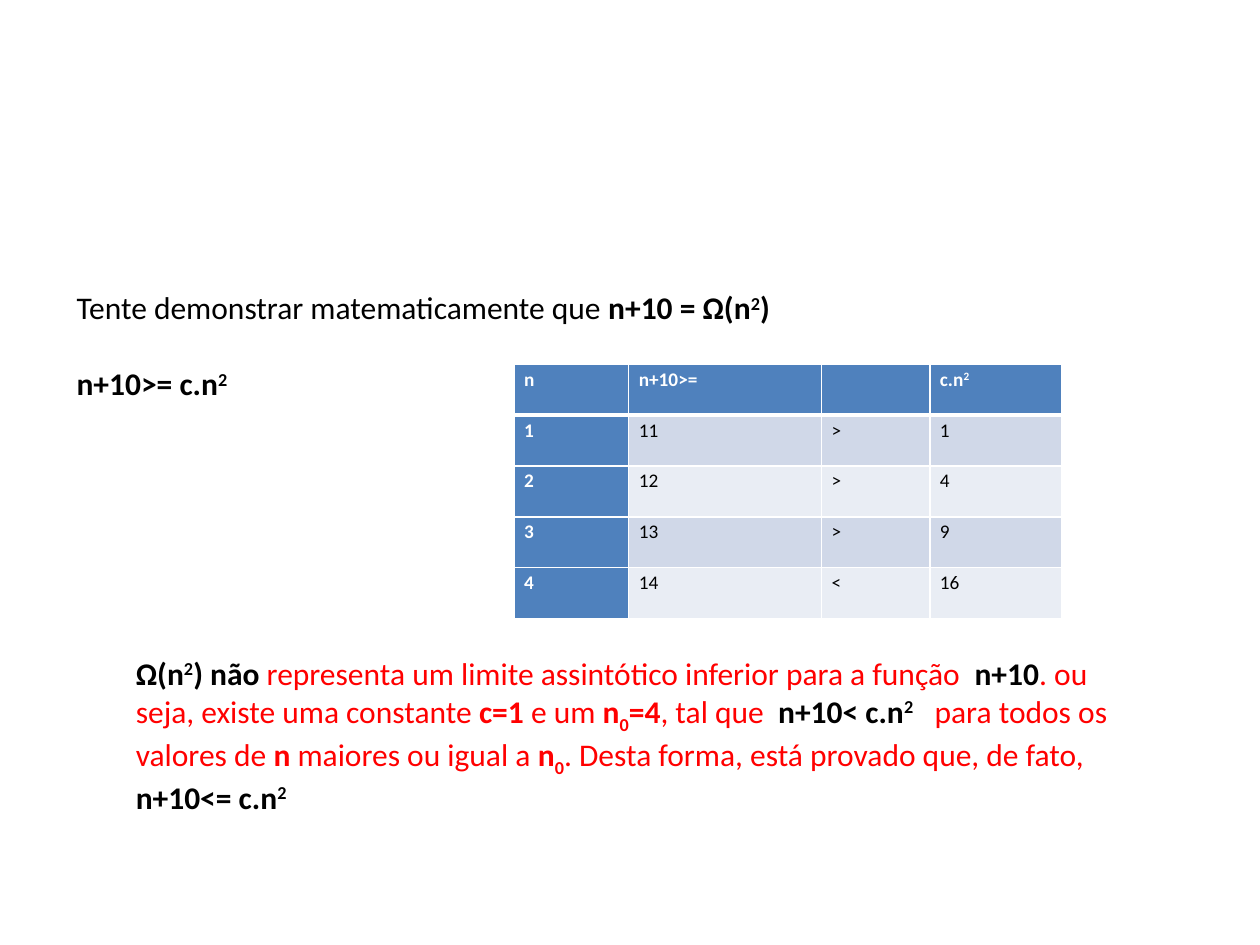
import pptx
import pptx.util
import pptx.dml.color
import pptx.oxml
import pptx.oxml.ns
from pptx.util import Inches

RGBColor = pptx.dml.color.RGBColor
BLACK = RGBColor(0, 0, 0)
WHITE = RGBColor(255, 255, 255)
RED = RGBColor(255, 0, 0)
BLUE = RGBColor(0x4F, 0x81, 0xBD)
BANDS = RGBColor(0xD0, 0xD8, 0xE8), RGBColor(0xE9, 0xED, 0xF4)

SUP, SUB = 30, -25
WIDTHS = 0.91, 1.53, 0.86, 1.05
HEIGHT = 2.02 / 5
SIGNS = "> ", "> ", "> ", "< "


def write(para, text, size=18, color=BLACK, bold=False, base=0):
    run = para.add_run()
    run.text = text
    font = run.font
    font.name = "Calibri"
    font.size = pptx.util.Pt(size)
    font.color.rgb = color
    font.bold = bold
    if base:
        run._r.get_or_add_rPr().set("baseline", str(base * 1000))


def square(para, text, **form):
    write(para, text, **form)
    write(para, "2", base=SUP, **form)


def add_box(slide, left, top, width, height):
    frame = slide.shapes.add_textbox(
        Inches(left), Inches(top), Inches(width), Inches(height)).text_frame
    frame.word_wrap = True
    return frame


def add_edges(cell, head):
    props = cell._tc.get_or_add_tcPr()
    for side in "LRTB":
        width = 3 if (head and side == "B") else 1
        props.append(pptx.oxml.parse_xml(
            f'<a:ln{side} {pptx.oxml.ns.nsdecls("a")} w="{pptx.util.Pt(width)}">'
            f'<a:solidFill><a:srgbClr val="{WHITE}"/></a:solidFill></a:ln{side}>'))


def fill_cell(cell, text, row, col):
    strong = row == 0 or col == 0
    add_edges(cell, row == 0)
    cell.fill.solid()
    cell.fill.fore_color.rgb = BLUE if strong else BANDS[(row - 1) % 2]
    cell.margin_left = cell.margin_right = Inches(0.08)
    cell.margin_top = cell.margin_bottom = 0
    para = cell.text_frame.paragraphs[0]
    para.line_spacing = 1.15
    put = square if text == "c.n" else write
    if text:
        put(para, text, size=11, color=WHITE if strong else BLACK, bold=strong)


def add_grid(slide):
    rows = [("n", "n+10>=", "", "c.n")]
    rows += [(str(n), str(n + 10), sign, str(n * n))
             for n, sign in enumerate(SIGNS, 1)]
    table = slide.shapes.add_table(
        len(rows), len(WIDTHS), Inches(4.08), Inches(2.89),
        Inches(sum(WIDTHS)), Inches(HEIGHT * len(rows))).table
    table.first_col = True
    for col, width in enumerate(WIDTHS):
        table.columns[col].width = Inches(width)
    for r, row in enumerate(rows):
        table.rows[r].height = Inches(HEIGHT)
        for c, text in enumerate(row):
            fill_cell(table.cell(r, c), text, r, c)


def add_task(slide):
    frame = add_box(slide, 0.51, 1.94, 7.09, 1.31)
    first, second = frame.paragraphs[0], frame.add_paragraph()
    first.line_spacing = second.line_spacing = 2.0
    write(first, "Tente demonstrar matematicamente que ")
    square(first, "n+10 = Ω(n", bold=True)
    write(first, ")", bold=True)
    square(second, "n+10>= c.n", bold=True)


def add_proof(slide):
    frame = add_box(slide, 0.98, 5.14, 8.27, 1.62)
    frame.margin_right = Inches(0.15)
    para = frame.paragraphs[0]
    dark = {"bold": True}
    red = {"color": RED}
    key = {"color": RED, "bold": True}
    low = {"color": RED, "bold": True, "base": SUB}
    sup = {"bold": True, "base": SUP}
    for text, form in (
        ("Ω(n", dark), ("2", sup), (") não ", dark),
        ("representa um limite assintótico inferior para a função  ", red),
        ("n+10", dark), (". ou seja, existe uma constante ", red),
        ("c=1", key), (" e um ", red), ("n", key), ("0", low), ("=4", key),
        (", tal que  ", red), ("n+10< c.n", dark), ("2", sup),
        ("   para todos os valores de ", red), ("n", key),
        (" maiores ou igual a ", red), ("n", key), ("0", low),
        (". Desta forma, está provado que, de fato,  ", red),
        ("n+10<= c.n", dark), ("2", sup),
    ):
        write(para, text, **form)


def main():
    deck = pptx.Presentation()
    deck.slide_width, deck.slide_height = Inches(10), Inches(7.5)
    slide = deck.slides.add_slide(deck.slide_layouts[6])
    add_task(slide)
    add_grid(slide)
    add_proof(slide)
    deck.save("out.pptx")


if __name__ == "__main__":
    main()
